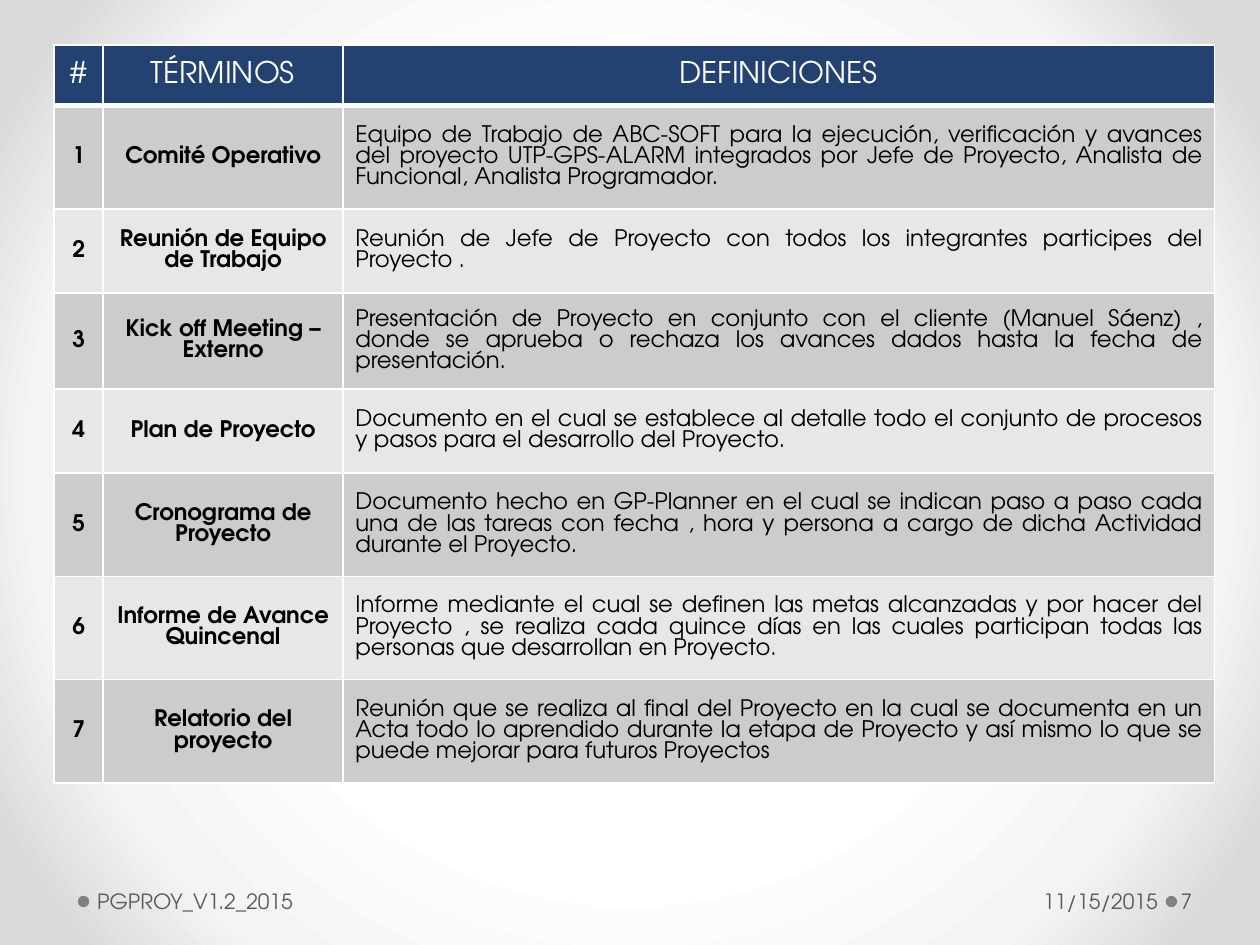
from lxml import etree
from pptx import Presentation
from pptx import util as u
from pptx.dml.color import RGBColor
from pptx.enum import shapes, text
from pptx.oxml import ns

FONT = "TeX Gyre Adventor"
WHITE, NAVY, BLACK = "FFFFFF", "234271", "000000"
DARK_BAND, LIGHT_BAND = "CCCCCC", "E7E7E7"
BULLET_GRAY, FOOTER_GRAY = "808080", "595959"
LEFT, CENTER, RIGHT, JUSTIFY = (
    text.PP_ALIGN.LEFT, text.PP_ALIGN.CENTER, text.PP_ALIGN.RIGHT, text.PP_ALIGN.JUSTIFY)

HEADER = ("#", "TÉRMINOS", "DEFINICIONES")
TERMS = [
    ("Comité Operativo",
     "Equipo de Trabajo de ABC-SOFT para la ejecución, verificación y avances del proyecto "
     "UTP-GPS-ALARM integrados por Jefe de Proyecto, Analista de Funcional, Analista Programador."),
    ("Reunión de Equipo de Trabajo",
     "Reunión de Jefe de Proyecto con todos los integrantes participes del Proyecto ."),
    ("Kick off Meeting – Externo",
     "Presentación de Proyecto en conjunto con el cliente (Manuel Sáenz) , donde se aprueba o "
     "rechaza los avances dados hasta la fecha de presentación."),
    ("Plan de Proyecto",
     "Documento en el cual se establece al detalle todo el conjunto de procesos y pasos para el "
     "desarrollo del Proyecto."),
    ("Cronograma de Proyecto",
     "Documento hecho en GP-Planner en el cual se indican paso a paso cada una de las tareas con "
     "fecha , hora y persona a cargo de dicha Actividad durante el Proyecto."),
    ("Informe de Avance Quincenal",
     "Informe mediante el cual se definen las metas alcanzadas y por hacer del Proyecto , se "
     "realiza cada quince días en las cuales participan todas las personas que desarrollan en "
     "Proyecto."),
    ("Relatorio del proyecto",
     "Reunión que se realiza al final del Proyecto en la cual se documenta en un Acta todo lo "
     "aprendido durante la etapa de Proyecto y así mismo lo que se puede mejorar para futuros "
     "Proyectos"),
]
COLUMN_WIDTHS = (0.99, 4.83, 17.57)
ROW_HEIGHTS = (1.22, 2.08, 1.7, 1.93, 1.7, 2.08, 2.08, 2.08)


def color(value):
    return RGBColor.from_string(value)


def apply(target, values):
    for name, value in values.items():
        setattr(target, name, value)


class SlideBuilder:
    def __init__(self, slide, font_name):
        self.slide = slide
        self.font_name = font_name

    def background(self, stops):
        fill = self.slide.background.fill
        fill.gradient()
        gradient = self.slide.element.find(".//" + ns.qn("a:gradFill"))
        for child in list(gradient):
            gradient.remove(child)
        stop_list = etree.SubElement(gradient, ns.qn("a:gsLst"))
        for position, value in stops:
            stop = etree.SubElement(stop_list, ns.qn("a:gs"), pos=str(position * 1000))
            etree.SubElement(stop, ns.qn("a:srgbClr"), val=value)
        circle = etree.SubElement(gradient, ns.qn("a:path"))
        circle.set("path", "circle")
        sides = dict.fromkeys("ltrb", "50000")
        etree.SubElement(circle, ns.qn("a:fillToRect"), **sides)

    def add_text(self, frame, content, alignment, size, value, bold=False):
        paragraph = frame.paragraphs[0]
        paragraph.alignment = alignment
        run = paragraph.add_run()
        run.text = content
        apply(run.font, {"name": self.font_name, "size": u.Pt(size), "bold": bold})
        run.font.color.rgb = color(value)

    def dot(self, left, top, size, value):
        shape = self.slide.shapes.add_shape(
            shapes.MSO_SHAPE.OVAL, u.Cm(left), u.Cm(top), u.Cm(size), u.Cm(size))
        shape.shadow.inherit = False
        shape.fill.solid()
        shape.fill.fore_color.rgb = color(value)
        shape.line.fill.background()

    def footer(self, content, left, width, alignment, margin_left, margin_right):
        box = self.slide.shapes.add_textbox(u.Cm(left), u.Cm(17.65), u.Cm(width), u.Cm(1.02))
        apply(box.text_frame, {
            "word_wrap": True,
            "vertical_anchor": text.MSO_ANCHOR.MIDDLE,
            "margin_left": u.Cm(margin_left),
            "margin_right": u.Cm(margin_right),
        })
        self.add_text(box.text_frame, content, alignment, 12, FOOTER_GRAY)

    def borders(self, cell, bottom):
        properties = cell._tc.get_or_add_tcPr()
        for side, width in (("L", 1), ("R", 1), ("T", 1), ("B", bottom)):
            line = etree.SubElement(properties, ns.qn("a:ln" + side), w=str(u.Pt(width)))
            fill = etree.SubElement(line, ns.qn("a:solidFill"))
            etree.SubElement(fill, ns.qn("a:srgbClr"), val=WHITE)

    def cell(self, cell, content, fill, bottom, **style):
        self.borders(cell, bottom)
        cell.fill.solid()
        cell.fill.fore_color.rgb = color(fill)
        cell.vertical_anchor = text.MSO_ANCHOR.MIDDLE
        self.add_text(cell.text_frame, content, **style)

    def glossary(self, left, top):
        table = self.slide.shapes.add_table(
            len(ROW_HEIGHTS), len(COLUMN_WIDTHS), u.Cm(left), u.Cm(top),
            u.Cm(sum(COLUMN_WIDTHS)), u.Cm(sum(ROW_HEIGHTS))).table
        table.horz_banding = False
        for column, width in zip(table.columns, COLUMN_WIDTHS):
            column.width = u.Cm(width)
        for row, height in zip(table.rows, ROW_HEIGHTS):
            row.height = u.Cm(height)
        for index, title in enumerate(HEADER):
            self.cell(table.cell(0, index), title, NAVY, 3,
                      alignment=CENTER, size=17, value=WHITE)
        for number, (term, definition) in enumerate(TERMS, 1):
            band = DARK_BAND if number % 2 else LIGHT_BAND
            for index, content in enumerate((str(number), term, definition)):
                is_definition = index == 2
                self.cell(table.cell(number, index), content, band, 1,
                          alignment=JUSTIFY if is_definition else CENTER,
                          size=13, value=BLACK, bold=not is_definition)


def main():
    presentation = Presentation()
    apply(presentation, {"slide_width": u.Cm(25.4), "slide_height": u.Cm(19.05)})
    slide = presentation.slides.add_slide(presentation.slide_layouts[6])
    builder = SlideBuilder(slide, FONT)
    builder.background([(50, "FFFFFF"), (76, "F4F4F4"), (92, "DADADA")])
    for left in (23.5, 1.57):
        builder.dot(left, 18.06, 0.23, BULLET_GRAY)
    builder.footer("7", 23.72, 1.55, LEFT, 0.08, 0.13)
    builder.glossary(1.09, 0.91)
    builder.footer("PGPROY_V1.2_2015", 1.83, 10.06, LEFT, 0.13, 0.25)
    builder.footer("11/15/2015", 17.68, 5.79, RIGHT, 0.25, 0.13)
    presentation.save("out.pptx")


if __name__ == "__main__":
    main()
